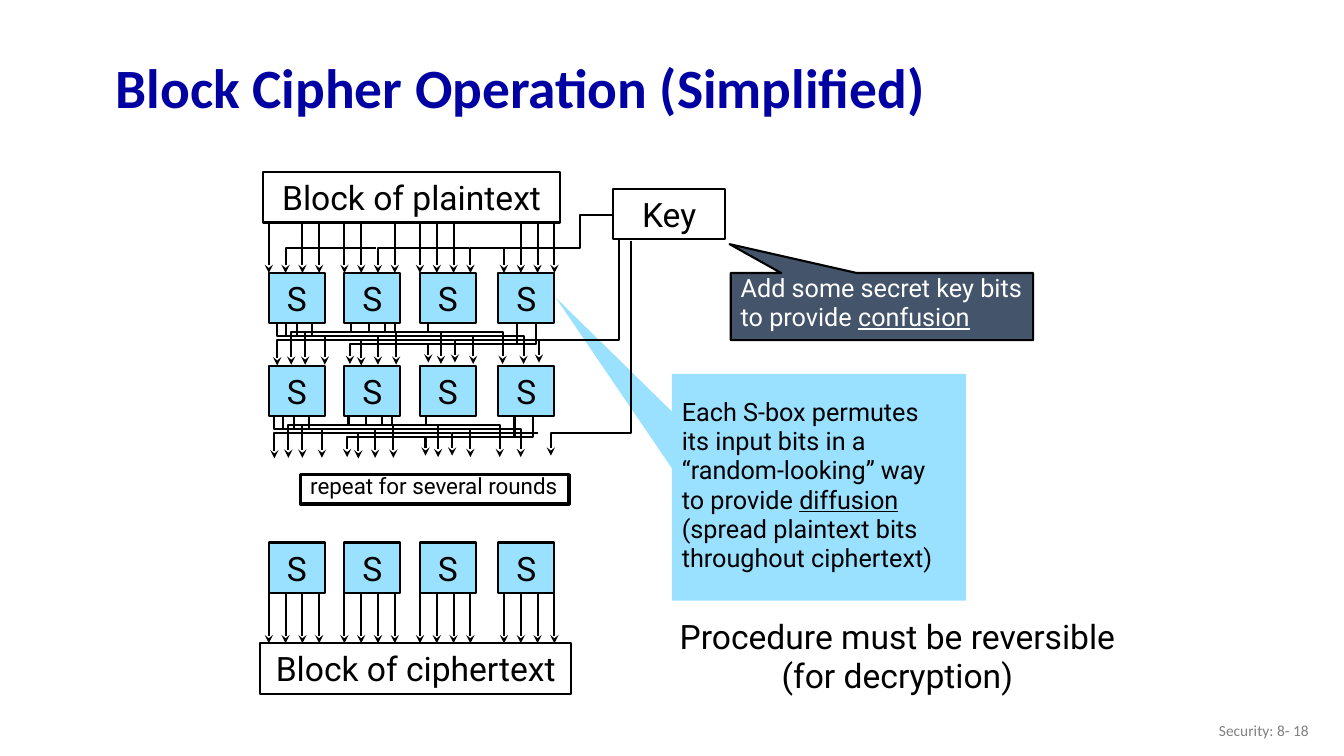
import pptx
import pptx.dml.color
import pptx.enum.shapes
import pptx.enum.text
import pptx.oxml
import pptx.oxml.ns
import pptx.util

Pt = pptx.util.Pt
SHAPE = pptx.enum.shapes.MSO_SHAPE
ALIGN = pptx.enum.text.PP_ALIGN
ANCHOR = pptx.enum.text.MSO_ANCHOR

COLORS = {"ink": "000000", "title": "0000A3", "sbox": "9AE0FF",
          "slate": "44546A", "paper": "FFFFFF", "footer": "808080"}

# S-box columns, offsets from the left edge of the cipher diagram
SBOX_COLUMNS = (0, 54, 108, 164)
SBOX_SIZE = (40, 36)

# Four bit lines enter each S-box
BIT_OFFSETS = [start + 12 * bit for start in (0, 54, 108, 168) for bit in range(4)]
KEY_BITS = (12, 78, 144, 168)

# Permutation wires below an S-box row: start x, bend y, end x, tip y
PERMUTATION = (
    (20, 9, 182, 29), (6, 9, 146, 29), (31, 9, 40, 29.5), (12, 9, 78, 29.5),
    (59, 6, 123, 29), (71.5, 6, 167, 29), (83, 6, 91, 29.5), (90, 6, 26, 29.5),
    (114, 6, 16, 29.5), (177.5, 14.5, 58, 29), (191, 14.5, 114, 28),
)
# Key bus segments: right x, left x, tip y
KEY_BUS = ((132, 66, 30), (66, 6, 30), (194, 133, 28))
BUS_Y = 12


def rgb(name):
    return pptx.dml.color.RGBColor.from_string(COLORS[name])


def apply_format(target, values):
    for attribute, value in values.items():
        setattr(target, attribute, value)


def write(frame, lines, size, color="ink", font="Roboto", bold=False,
          anchor=ANCHOR.MIDDLE, wrap=False, underlined=None, **paragraph_format):
    """Fill a text frame with one paragraph per line."""
    apply_format(frame, {
        "word_wrap": wrap, "vertical_anchor": anchor,
        "margin_left": Pt(7.2), "margin_right": Pt(7.2),
        "margin_top": Pt(3.6), "margin_bottom": Pt(3.6)})
    for index, line in enumerate(lines):
        paragraph = frame.add_paragraph() if index else frame.paragraphs[0]
        apply_format(paragraph, paragraph_format)
        plain, word, _ = line.partition(underlined) if underlined else (line, "", "")
        for text in filter(None, (plain, word)):
            run = paragraph.add_run()
            run.text = text
            apply_format(run.font, {"size": Pt(size), "name": font, "bold": bold})
            if text == underlined:
                run.font.underline = True
            run.font.color.rgb = rgb(color)


def add_block(slide, box, lines, size=24, kind=SHAPE.RECTANGLE, fill=None,
              line_width=1.5, adjust=(), **text_format):
    block = slide.shapes.add_shape(kind, *map(Pt, box))
    block.shadow.inherit = False
    for index, value in enumerate(adjust):
        block.adjustments[index] = value
    if fill:
        block.fill.solid()
        block.fill.fore_color.rgb = rgb(fill)
    else:
        block.fill.background()
    if line_width:
        block.line.width = Pt(line_width)
        block.line.color.rgb = rgb("ink")
    else:
        block.line.fill.background()
    text_format = {"alignment": ALIGN.CENTER, "space_before": Pt(size * 0.2), **text_format}
    write(block.text_frame, lines, size, **text_format)


def finish_arrow(arrow):
    arrow.line.width = Pt(1.5)
    arrow.line.color.rgb = rgb("ink")
    head = pptx.oxml.parse_xml(
        f'<a:tailEnd {pptx.oxml.ns.nsdecls("a")} type="stealth"/>')
    arrow.line._get_or_add_ln().append(head)


def add_bit_line(slide, x, top, bottom):
    straight = pptx.enum.shapes.MSO_CONNECTOR.STRAIGHT
    bit_line = slide.shapes.add_connector(straight, Pt(x), Pt(top), Pt(x), Pt(bottom))
    bit_line._element.spPr.append(
        pptx.oxml.parse_xml(f'<a:effectLst {pptx.oxml.ns.nsdecls("a")}/>'))
    effects = bit_line._element.spPr[-1]
    finish_arrow(bit_line)
    bit_line._element.spPr.append(effects)


def add_wire(slide, points):
    start, *rest = [(Pt(x), Pt(y)) for x, y in points]
    builder = slide.shapes.build_freeform(*start)
    builder.add_line_segments(rest, close=False)
    wire = builder.convert_to_shape()
    wire.shadow.inherit = False
    wire.fill.background()
    finish_arrow(wire)


def add_title(slide, box):
    title = slide.shapes.title
    apply_format(title, dict(zip(("left", "top", "width", "height"), map(Pt, box))))
    write(title.text_frame, ["Block Cipher Operation (Simplified)"], 39.6, "title",
          "Calibri", bold=True, anchor=ANCHOR.BOTTOM, wrap=True,
          alignment=ALIGN.LEFT, line_spacing=0.9)


def add_sbox_row(slide, left, top):
    for column in SBOX_COLUMNS:
        add_block(slide, (left + column, top, *SBOX_SIZE), ["S"], fill="sbox")


def add_input_stage(slide, left, top, key_x, key_y):
    """Plaintext bits and key bits entering the first S-box row."""
    tip, bus = top + 36, top + 18
    for offset in BIT_OFFSETS:
        if offset not in KEY_BITS:
            add_bit_line(slide, left + offset, top, tip)
    turn = left + 222
    add_wire(slide, [(key_x, key_y), (turn, key_y), (turn, bus),
                     (left + KEY_BITS[3], bus), (left + KEY_BITS[3], tip)])
    for bit, start in zip(KEY_BITS, (76.5, 143, 198)):
        add_wire(slide, [(left + start, bus), (left + bit, bus), (left + bit, tip)])


def add_round(slide, left, top, key_start, drop_x):
    """Permutation wires below an S-box row, with the key bits joining in."""
    key_x, key_y = key_start
    bus = top + BUS_Y
    add_wire(slide, [(key_x, key_y), (key_x, bus), (drop_x, bus), (drop_x, top + 28)])
    for right, end, tip in KEY_BUS:
        add_wire(slide, [(left + right, bus), (left + end, bus), (left + end, top + tip)])
    for start, bend, end, tip in PERMUTATION:
        add_wire(slide, [(left + start, top), (left + start, top + bend),
                         (left + end, top + bend), (left + end, top + tip)])


def add_output_stage(slide, left, top):
    add_block(slide, (left - 6, top + 36, 222, 36), ["Block of ciphertext"], fill="paper")
    for offset in BIT_OFFSETS:
        add_bit_line(slide, left + offset, top, top + 36)


def add_callouts(slide, left, top):
    notes = {"kind": SHAPE.RECTANGULAR_CALLOUT, "size": 18, "line_spacing": 0.8,
             "alignment": ALIGN.LEFT, "wrap": True}
    add_block(slide, (left + 42, top, 216, 48),
              ["Add some secret key bits", "to provide confusion"],
              fill="slate", color="paper", adjust=(-0.504, -0.93),
              anchor=ANCHOR.TOP, underlined="confusion", **notes)
    add_block(slide, (left, top + 72, 210, 162),
              ["Each S-box permutes", "its input bits in a", "“random-looking” way",
               "to provide diffusion", "(spread plaintext bits", "throughout ciphertext)"],
              fill="sbox", line_width=0, adjust=(-0.896, -0.837),
              underlined="diffusion", **notes)


def add_diagram(slide, left, top):
    add_block(slide, (left - 4, top, 212, 36), ["Block of plaintext"])
    add_block(slide, (left + 246, top + 12, 80, 36), ["Key"])
    for row in (72, 138.5, 264.5):
        add_sbox_row(slide, left, top + row)
    add_input_stage(slide, left, top + 36, left + 246, top + 30.5)
    add_callouts(slide, left + 288, top + 72)
    add_round(slide, left, top + 108, (left + 250, top + 48.5), left + 193)
    add_round(slide, left - 2, top + 174.5, (left + 258.5, top + 49.5), left + 201.5)
    add_block(slide, (left + 22.5, top + 216, 192, 21), ["repeat for several rounds"],
              size=16, line_width=2.25, anchor=ANCHOR.TOP,
              alignment=ALIGN.LEFT, line_spacing=0.7)
    add_output_stage(slide, left, top + 300.5)


def add_remark(slide, box):
    add_block(slide, box, ["Procedure must be reversible", "(for decryption)"],
              fill="paper", line_width=0, anchor=ANCHOR.TOP, line_spacing=0.8)


def add_footer(slide, box):
    page_label = slide.shapes.add_textbox(*map(Pt, box))
    write(page_label.text_frame, ["Security: 8- 18"], 11, "footer", "Calibri",
          wrap=True, alignment=ALIGN.RIGHT)


def main():
    deck = pptx.Presentation()
    deck.slide_width, deck.slide_height = Pt(960), Pt(540)
    slide = deck.slides.add_slide(deck.slide_layouts[5])
    add_title(slide, (75.6, 18, 597, 72))
    add_diagram(slide, 192, 123)
    add_remark(slide, (474, 442, 334, 60))
    add_footer(slide, (726, 507.5, 216, 29))
    deck.save("out.pptx")


if __name__ == "__main__":
    main()
